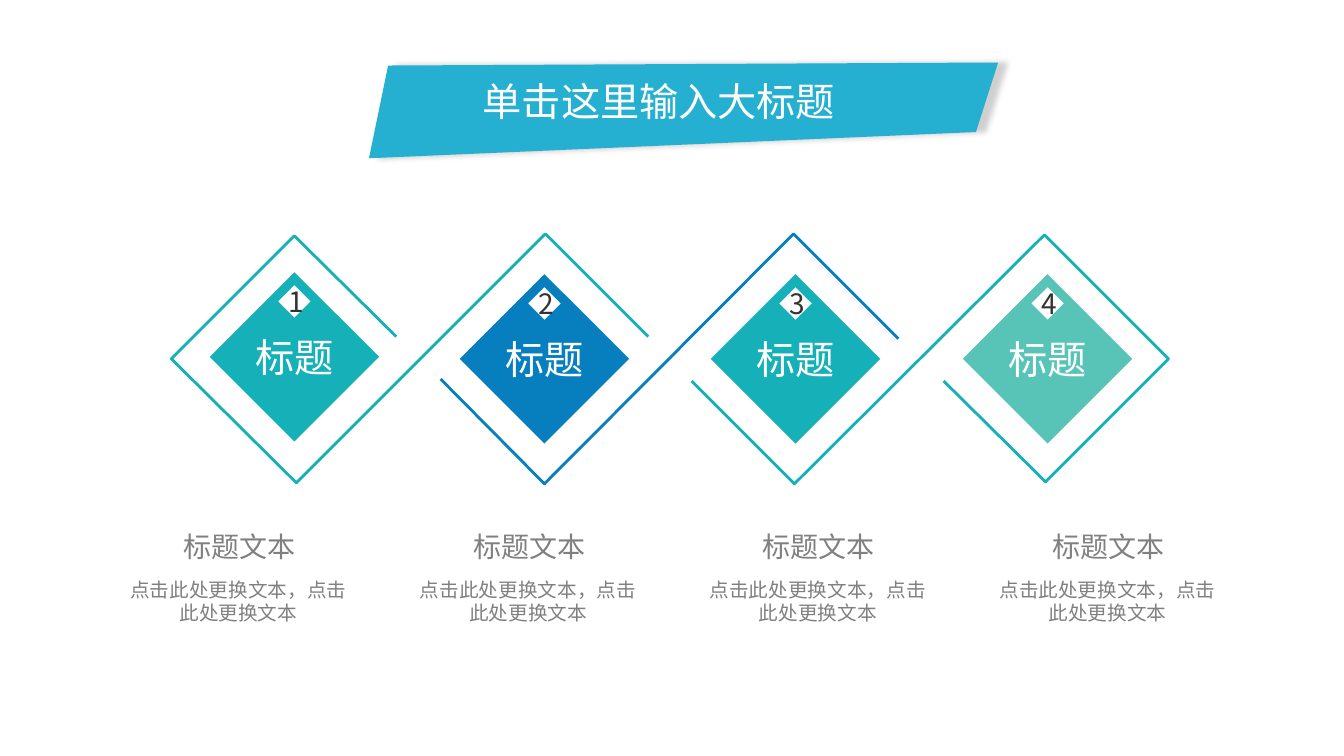
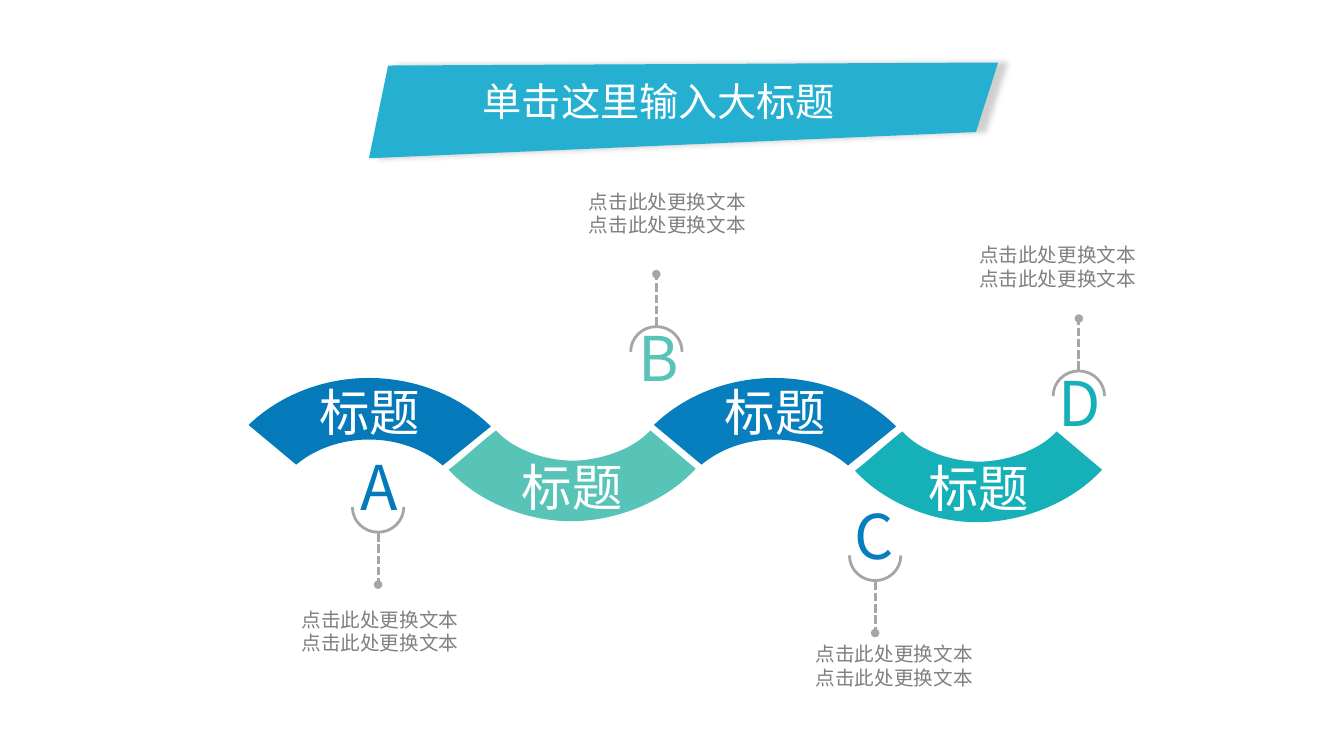
"""Build two process slides: a zigzag of diamonds and a wave of arcs."""
from lxml import etree
from pptx import Presentation
from pptx.dml.color import RGBColor
from pptx.enum.dml import MSO_LINE
from pptx.enum.shapes import MSO_CONNECTOR, MSO_SHAPE
from pptx.enum.text import MSO_ANCHOR, MSO_AUTO_SIZE, PP_ALIGN
from pptx.oxml import parse_xml
from pptx.oxml.ns import nsdecls, qn
from pptx.util import Inches, Pt

FONT = "Noto Sans CJK SC"
BANNER = RGBColor(0x25, 0xB0, 0xD2)
TEAL = RGBColor(0x15, 0xB0, 0xB8)
BLUE = RGBColor(0x07, 0x7F, 0xBF)
DEEP_BLUE = RGBColor(0x04, 0x7A, 0xBA)
MINT = RGBColor(0x58, 0xC4, 0xB8)
WHITE = RGBColor(0xFF, 0xFF, 0xFF)
DARK = RGBColor(0x33, 0x33, 0x33)
GREY = RGBColor(0x80, 0x80, 0x80)
RULE = RGBColor(0xA6, 0xA6, 0xA6)

SHAPE_TEXT = {"word_wrap": True, "vertical_anchor": MSO_ANCHOR.MIDDLE}
LINE_TEXT = {"word_wrap": False, "auto_size": MSO_AUTO_SIZE.SHAPE_TO_FIT_TEXT}
MARK_TEXT = LINE_TEXT | {"word_wrap": True}
BODY_TEXT = {"word_wrap": True, "margin_top": 0, "margin_bottom": 0}
ARCH_TEXT = SHAPE_TEXT | {"margin_left": 0, "margin_right": 0, "margin_top": 0, "margin_bottom": Inches(0.2)}
BOWL_TEXT = ARCH_TEXT | {"margin_top": Inches(0.2), "margin_bottom": 0}


def outline(s, points, color, closed=True, curved=False):
    """Draw a filled outline or an open 2 pt line; curved joins points in threes as Beziers."""
    pts = [(Inches(x), Inches(y)) for x, y in points]
    fb = s.shapes.build_freeform(*pts[0], scale=1.0)
    fb.add_line_segments(pts[1:], close=closed)
    sp = fb.convert_to_shape()
    sp.shadow.inherit = False
    if closed:
        sp.fill.solid()
        sp.fill.fore_color.rgb = color
        sp.line.fill.background()
    else:
        sp.fill.background()
        sp.line.color.rgb = color
        sp.line.width = Pt(2)
    if curved:
        steps = list(sp._element.iter(qn("a:lnTo")))
        for k in range(len(steps) % 3, len(steps), 3):
            steps[k].tag = qn("a:cubicBezTo")
            for extra in steps[k + 1:k + 3]:
                steps[k].append(extra[0])
                extra.getparent().remove(extra)
    return sp


def write(sp, text, size, color, frame, align=PP_ALIGN.CENTER, spacing=None):
    """Put one styled paragraph into a shape."""
    tf = sp.text_frame
    for name, value in frame.items():
        setattr(tf, name, value)
    p = tf.paragraphs[0]
    p.alignment, p.line_spacing = align, spacing
    r = p.add_run()
    r.text = text
    for name, value in {"name": FONT, "size": Pt(size)}.items():
        setattr(r.font, name, value)
    r.font.color.rgb = color
    etree.SubElement(r.font._element, qn("a:ea"), typeface=FONT)


prs = Presentation()
prs.slide_width, prs.slide_height = Inches(13.33), Inches(7.5)
blank = prs.slide_layouts[6]
zigzag, wave = [prs.slides.add_slide(blank) for _ in range(2)]

banner = outline(zigzag, [(3.85, 0.65), (3.66, 1.57), (9.68, 1.31), (9.9, 0.62)], BANNER)
banner._element.spPr.find(qn("a:effectLst")).append(parse_xml(
    f'<a:outerShdw {nsdecls("a")} blurRad="{Pt(4)}" dist="{Pt(6)}" dir="0" algn="l" rotWithShape="0">'
    '<a:srgbClr val="000000"><a:alpha val="19000"/></a:srgbClr></a:outerShdw>'))
blank.shapes._spTree.append(banner._element)
for s in (zigzag, wave):
    title = s.shapes.add_textbox(Inches(4.69), Inches(0.72), Inches(3.74), Inches(0.57))
    write(title, "单击这里输入大标题", 28, WHITE, LINE_TEXT, PP_ALIGN.LEFT)

ribbons = [
    (TEAL, [(6.43, 3.34), (5.41, 2.32), (2.94, 4.79), (1.7, 3.56), (2.92, 2.34), (3.93, 3.34)]),
    (BLUE, [(4.37, 3.76), (5.4, 4.8), (7.87, 2.32), (8.91, 3.36)]),
    (TEAL, [(6.86, 3.78), (7.88, 4.8), (10.36, 2.33), (11.59, 3.56), (10.37, 4.78), (9.36, 3.78)]),
]
for color, points in ribbons:
    outline(zigzag, points, color, closed=False)

diamonds = [(2.92, 3.54, TEAL), (5.4, 3.56, BLUE), (7.89, 3.56, TEAL), (10.39, 3.56, MINT)]
for i, (cx, cy, color) in enumerate(diamonds):
    for text, size, ink, fill, y, half in (("标题", 28, WHITE, color, cy, 0.84),
                                           (str(i + 1), 20, DARK, WHITE, cy - 0.55, 0.16)):
        sp = outline(zigzag, [(cx, y - half), (cx + half, y), (cx, y + half), (cx - half, y)], fill)
        write(sp, text, size, ink, SHAPE_TEXT)
    left = 8.62 * i / 3
    body = zigzag.shapes.add_textbox(Inches(1.18 + left), Inches(5.73), Inches(2.37), Inches(1.17))
    write(body, "点击此处更换文本，点击此处更换文本", 14, GREY, BODY_TEXT)
    heading = zigzag.shapes.add_textbox(Inches(1.72 + left), Inches(5.2), Inches(1.32), Inches(0.44))
    write(heading, "标题文本", 20, GREY, LINE_TEXT, PP_ALIGN.LEFT)

cup = [(0.255, 0), (0.255, 0.14), (0.14, 0.25), (0, 0.25), (-0.14, 0.25), (-0.255, 0.14), (-0.255, 0)]
callouts = [
    ("A", DEEP_BLUE, 3.75, 5.03, 1, 3.38),
    ("B", MINT, 6.51, 3.49, -1, 6.15),
    ("C", BLUE, 8.68, 5.51, 1, 8.29),
    ("D", TEAL, 10.7, 3.93, -1, 10.33),
]
for letter, color, cx, cy, side, left in callouts:
    outline(wave, [(cx + x, cy + side * y) for x, y in cup], RULE, closed=False, curved=True)
    start = cy + side * 0.26
    stem = wave.shapes.add_connector(MSO_CONNECTOR.STRAIGHT, Inches(cx), Inches(start),
                                     Inches(cx), Inches(start + side * 0.51))
    stem.line.color.rgb = RULE
    for name, value in {"width": Pt(2), "dash_style": MSO_LINE.SQUARE_DOT}.items():
        setattr(stem.line, name, value)
    etree.SubElement(stem.line._get_or_add_ln(), qn("a:tailEnd"), type="oval")
    etree.SubElement(stem._element.spPr, qn("a:effectLst"))
    mark = wave.shapes.add_textbox(Inches(left), Inches(cy - 0.35 - side * 0.13), Inches(0.76), Inches(0.56))
    write(mark, letter, 44, color, MARK_TEXT, spacing=0.8)

bowl = [
    (6.45, 4.27), (6.9, 4.65),
    (6.59, 4.99), (6.09, 5.17), (5.68, 5.17),
    (5.27, 5.18), (4.76, 5), (4.45, 4.66),
    (4.62, 4.53), (4.75, 4.4), (4.92, 4.27),
    (5.1, 4.47), (5.42, 4.57), (5.68, 4.57),
    (5.93, 4.57), (6.27, 4.47), (6.45, 4.27),
]
for left, dx, dy, arch_color, bowl_color in ((2.03, 0, 0, DEEP_BLUE, MINT), (6.05, 4.03, 0.01, BLUE, TEAL)):
    arch = wave.shapes.add_shape(MSO_SHAPE.BLOCK_ARC, Inches(left), Inches(3.75), Inches(3.26), Inches(2.92))
    for k, value in enumerate((131.867, 192.598, 0.209)):
        arch.adjustments[k] = value
    arch.shadow.inherit = False
    arch.fill.solid()
    arch.fill.fore_color.rgb = arch_color
    arch.line.fill.background()
    write(arch, "标题", 36, WHITE, ARCH_TEXT)
    sp = outline(wave, [(x + dx, y + dy) for x, y in bowl], bowl_color, curved=True)
    write(sp, "标题", 36, WHITE, BOWL_TEXT)

for left, top in ((2.82, 6.03), (7.92, 6.37), (5.67, 1.88), (9.54, 2.41)):
    body = wave.shapes.add_textbox(Inches(left), Inches(top), Inches(1.9), Inches(0.94))
    write(body, "点击此处更换文本" * 2, 14, GREY, BODY_TEXT)

prs.save("out.pptx")
